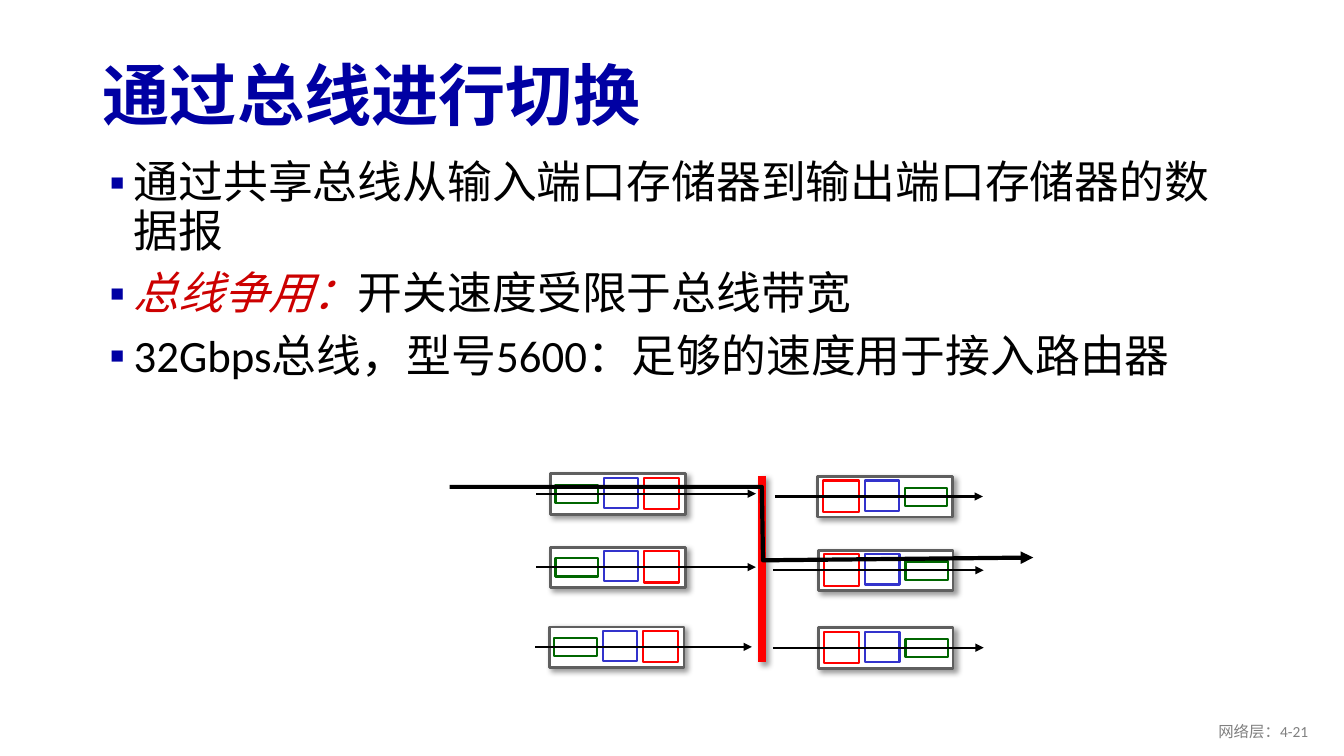
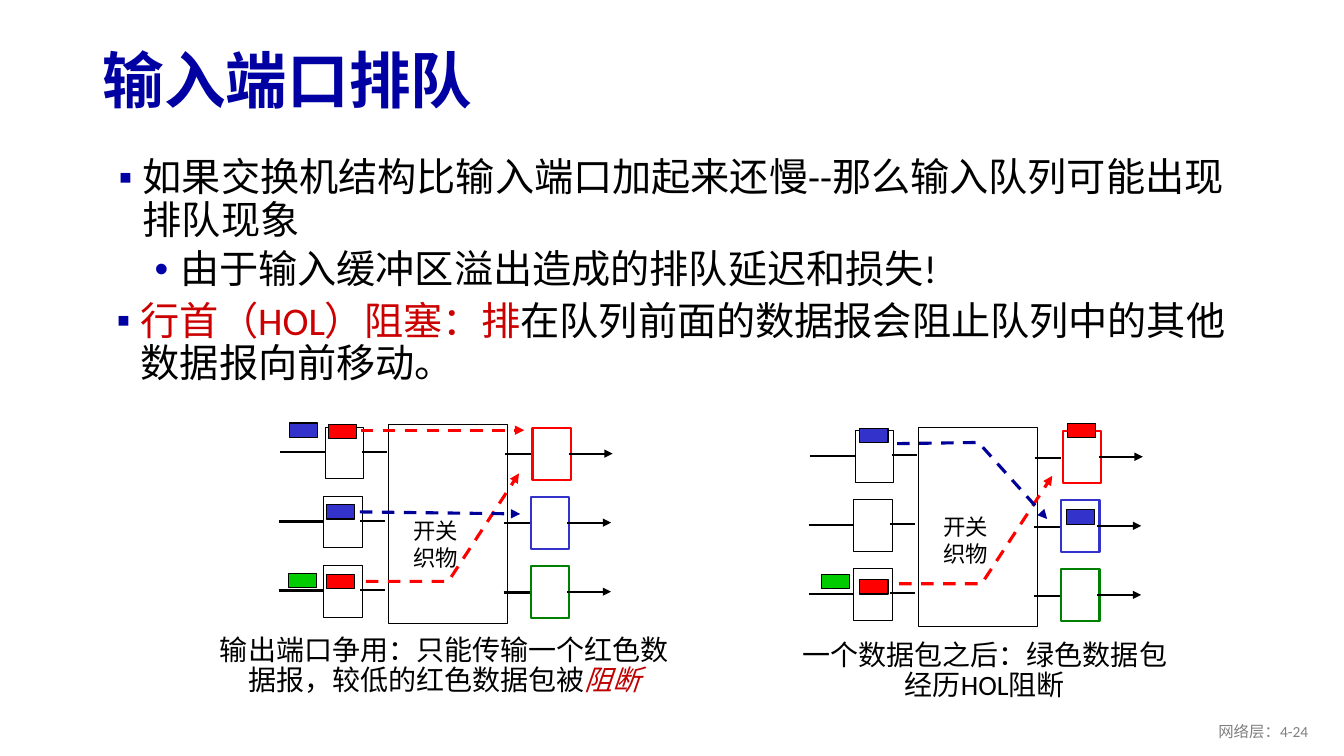
from lxml import etree
from pptx import Presentation
from pptx.dml.color import RGBColor
from pptx.enum.dml import MSO_LINE
from pptx.enum.shapes import MSO_CONNECTOR, MSO_SHAPE
from pptx.enum.text import MSO_ANCHOR, PP_ALIGN
from pptx.oxml.ns import qn
from pptx.util import Cm, Pt

RECTANGLE = MSO_SHAPE.RECTANGLE
STRAIGHT = MSO_CONNECTOR.STRAIGHT
DASH = MSO_LINE.DASH
LEFT, CENTER, RIGHT = PP_ALIGN.LEFT, PP_ALIGN.CENTER, PP_ALIGN.RIGHT
TOP, MIDDLE = MSO_ANCHOR.TOP, MSO_ANCHOR.MIDDLE

COLORS = {
    "title": "0000A3",
    "sub_bullet": "0000A8",
    "black": "000000",
    "white": "FFFFFF",
    "footer": "808080",
    "emphasis": "CC0000",
    "blocked": "C00000",
    "frame": "5F5F5F",
    "red": "FF0000",
    "blue": "3333CC",
    "navy": "000099",
    "dark_green": "006600",
    "port_green": "008000",
    "packet_green": "00CC00",
}

# level: mark, colour, text indent, hanging indent, space before
BULLETS = [
    ("▪", "title", 0.99, -0.61, 10),
    ("•", "sub_bullet", 1.93, -0.64, 5),
]


def rgb(name):
    return RGBColor.from_string(COLORS[name])


def add_child(parent, tag, **attributes):
    child = etree.SubElement(parent, qn(tag))
    for key, value in attributes.items():
        child.set(key, str(value))
    return child


class SlideWriter:
    """Holds the deck, its style and the page being drawn."""

    def __init__(self):
        self.deck = Presentation()
        self.deck.slide_width = Cm(33.87)
        self.deck.slide_height = Cm(19.05)
        self.shapes = None

    def page(self, title, title_size, title_top, number):
        """Start a page with its title and footer."""
        self.shapes = self.deck.slides.add_slide(self.deck.slide_layouts[6]).shapes
        heading = self.text((2.34, title_top, 29.21, 2.49), [[(title, "title")]],
                            title_size, anchor=MIDDLE)
        heading.paragraphs[0].runs[0].font.bold = True
        self.text((25.6, 17.91, 7.62, 1.02), [[(f"网络层：4-{number}", "footer")]],
                  11, align=RIGHT, anchor=MIDDLE, spacing=1.0)

    def text(self, area, paragraphs, size, align=LEFT, anchor=TOP, spacing=0.9,
             font="Calibri", wrap=True):
        """Each paragraph is a list of (text, colour[, italic]) spans."""
        frame = self.shapes.add_textbox(*map(Cm, area)).text_frame
        frame.word_wrap = wrap
        frame.vertical_anchor = anchor
        for index, spans in enumerate(paragraphs):
            para = frame.add_paragraph() if index else frame.paragraphs[0]
            para.alignment = align
            para.line_spacing = spacing
            for words, color, *italic in spans:
                span = para.add_run()
                span.text = words
                span.font.name = font
                span.font.size = Pt(size)
                span.font.color.rgb = rgb(color)
                span.font.italic = bool(italic and italic[0])
        return frame

    def bullets(self, area, items, size):
        """Each item is (level, spans)."""
        frame = self.text(area, [spans for _, spans in items], size)
        for index, (para, (level, _)) in enumerate(zip(frame.paragraphs, items)):
            mark, color, indent, hanging, before = BULLETS[level]
            para.level = level
            if index:
                para.space_before = Pt(before)
            properties = para._p.get_or_add_pPr()
            properties.set("marL", str(Cm(indent)))
            properties.set("indent", str(Cm(hanging)))
            add_child(add_child(properties, "a:buClr"), "a:srgbClr", val=COLORS[color])
            add_child(properties, "a:buFont", typeface="Arial")
            add_child(properties, "a:buChar", char=mark)

    def finish(self, shape, color, width, dash=False, arrow=False, shadow=False):
        """Set the outline and the effects of a shape or line."""
        shape.line.color.rgb = rgb(color)
        shape.line.width = Pt(width)
        if dash:
            shape.line.dash_style = DASH
        if arrow:
            add_child(shape.line._get_or_add_ln(), "a:tailEnd", type="triangle")
        effects = add_child(shape._element.spPr, "a:effectLst")
        if shadow:
            outer = add_child(effects, "a:outerShdw", blurRad=Pt(4), dist=Pt(3),
                              dir=45 * 60000, algn="tl", rotWithShape=0)
            tint = add_child(outer, "a:srgbClr", val=COLORS["black"])
            add_child(tint, "a:alpha", val=40000)

    def rect(self, area, line="black", width=0.75, fill="white", shadow=False):
        box = self.shapes.add_shape(RECTANGLE, *map(Cm, area))
        box.fill.solid()
        box.fill.fore_color.rgb = rgb(fill)
        self.finish(box, line, width, shadow=shadow)

    def route(self, points, color="black", width=1.5, **style):
        """Draw a connector through two points, or an open outline through more."""
        (x, y), *rest = [(Cm(left), Cm(top)) for left, top in points]
        if len(rest) == 1:
            shape = self.shapes.add_connector(STRAIGHT, x, y, *rest[0])
        else:
            builder = self.shapes.build_freeform(x, y, scale=1.0)
            builder.add_line_segments(rest, close=False)
            shape = builder.convert_to_shape()
            shape.fill.background()
        self.finish(shape, color, width, **style)


# Cells of an input queue: left and top in the frame, width, height, colour
FRAME_WIDTH, FRAME_HEIGHT = 3.4, 1.02
QUEUE_CELLS = [
    (0.13, 0.28, 1.07, 0.46, "dark_green"),
    (1.35, 0.1, 0.86, 0.76, "blue"),
    (2.36, 0.1, 0.89, 0.79, "red"),
]


def draw_queue(writer, left, top, arrow_start, arrow_end, mirrored):
    writer.rect((left, top, FRAME_WIDTH, FRAME_HEIGHT), "frame", 2, shadow=True)
    for dx, dy, width, height, color in QUEUE_CELLS:
        if mirrored:
            dx = FRAME_WIDTH - dx - width
        writer.rect((left + dx, top + dy, width, height), color, 1.5)
    middle = top + FRAME_HEIGHT / 2 - 0.01
    writer.route([(arrow_start, middle), (arrow_end, middle)], arrow=True)


def bus_page(writer):
    writer.page("通过总线进行切换", 48, 1.24, 21)
    writer.bullets((2.13, 3.91, 29.36, 7.7), [
        (0, [("通过共享总线从输入端口存储器到输出端口存储器的数据报", "black")]),
        (0, [("总线争用：", "emphasis", True), ("开关速度受限于总线带宽", "black")]),
        (0, [("32Gbps总线，型号5600：足够的速度用于接入路由器", "black")]),
    ], 32)
    input_queues = [
        (13.87, 11.94, 13.51, 19.05),
        (13.87, 13.79, 13.51, 19.05),
        (13.84, 15.8, 13.49, 18.95),
    ]
    output_queues = [
        (20.6, 12.01, 19.53, 24.77),
        (20.62, 13.87, 19.48, 24.79),
        (20.62, 15.82, 19.48, 24.79),
    ]
    for queue in input_queues:
        draw_queue(writer, *queue, mirrored=False)
    writer.route([(19.2, 11.99), (19.2, 16.69)], "red", 6, shadow=True)
    for queue in output_queues:
        draw_queue(writer, *queue, mirrored=True)
    writer.route([(11.33, 12.27), (19.2, 12.27), (19.23, 14.12), (26.04, 14.05)],
                 width=3, arrow=True)


# Wires of one port row, measured from the fabric: start, end, height, arrow
ROW_PITCH = 1.74
PORT_WIRES = [
    (2.95, 3.61, 0.76, False),
    (-0.66, -0.03, 0.69, False),
    (-2.72, -1.6, 0.71, False),
    (4.55, 5.66, 0.74, True),
]


def draw_switch(writer, left, top, label_top, packets, routes):
    """Draw a switch; packets and routes are measured from its fabric."""
    writer.rect((left, top, 3, 5.03))
    for row, color in enumerate(("red", "blue", "port_green")):
        row_left = left - (0.04 if row else 0)
        row_top = top + row * ROW_PITCH
        writer.rect((row_left - 1.58, row_top + 0.08, 0.97, 1.3))
        writer.rect((row_left + 3.64, row_top + 0.1, 0.97, 1.3), color, 1.5)
        for start, end, height, arrow in PORT_WIRES:
            y = row_top + height
            writer.route([(row_left + start, y), (row_left + end, y)], arrow=arrow)
    for dx, dy, color in packets:
        writer.rect((left + dx, top + dy, 0.71, 0.36), fill=color)
    writer.text((left + 0.38, top + label_top, 2.08, 1.63),
                [[("开关", "black")], [("织物", "black")]],
                16, spacing=1.0, font="Arial", wrap=False)
    for color, points in routes:
        writer.route([(left + dx, top + dy) for dx, dy in points],
                     color, 2.25, dash=True, arrow=True)


def queueing_page(writer):
    writer.page("输入端口排队", 44, 0.86, 24)
    writer.bullets((2.36, 3.86, 29.21, 3.76), [
        (0, [("如果交换机结构比输入端口加起来还慢--那么输入队列可能出现排队现象", "black")]),
        (1, [("由于输入缓冲区溢出造成的排队延迟和损失!", "black")]),
    ], 28)
    writer.bullets((2.31, 7.47, 29.21, 2.74), [
        (0, [("行首（HOL）阻塞：排", "emphasis"),
             ("在队列前面的数据报会阻止队列中的其他数据报向前移动。", "black")]),
    ], 28)
    draw_switch(
        writer, 9.78, 10.69, 2.21,
        packets=[(-1.5, 0, "red"), (-1.55, 2.03, "blue"), (-1.55, 3.78, "red"),
                 (-2.49, -0.03, "blue"), (-2.51, 3.76, "packet_green")],
        routes=[("red", [(-0.69, 0.15), (3.43, 0.15)]),
                ("red", [(-0.56, 3.96), (1.52, 3.96), (3.3, 1.24)]),
                ("navy", [(-0.71, 2.21), (3.33, 2.26)])])
    draw_switch(
        writer, 23.14, 10.77, 2.03,
        packets=[(3.76, -0.1, "red"), (-1.47, 0.03, "blue"), (-1.47, 3.84, "red"),
                 (-2.44, 3.71, "packet_green"), (3.73, 2.08, "blue")],
        routes=[("red", [(-0.48, 3.94), (1.6, 3.94), (3.38, 1.22)]),
                ("navy", [(-0.53, 0.41), (1.52, 0.38), (3.25, 2.31)])])
    writer.text((5, 15.9, 12.4, 2.57), [[
        ("输出端口争用：只能传输一个红色数据报，较低的红色数据包被", "black"),
        ("阻断", "blocked", True)]], 20, align=CENTER)
    writer.text((19.84, 16.03, 9.96, 1.8),
                [[("一个数据包之后：绿色数据包经历HOL阻断", "black")]], 20, align=CENTER)


def main():
    writer = SlideWriter()
    bus_page(writer)
    queueing_page(writer)
    writer.deck.save("out.pptx")


if __name__ == "__main__":
    main()
